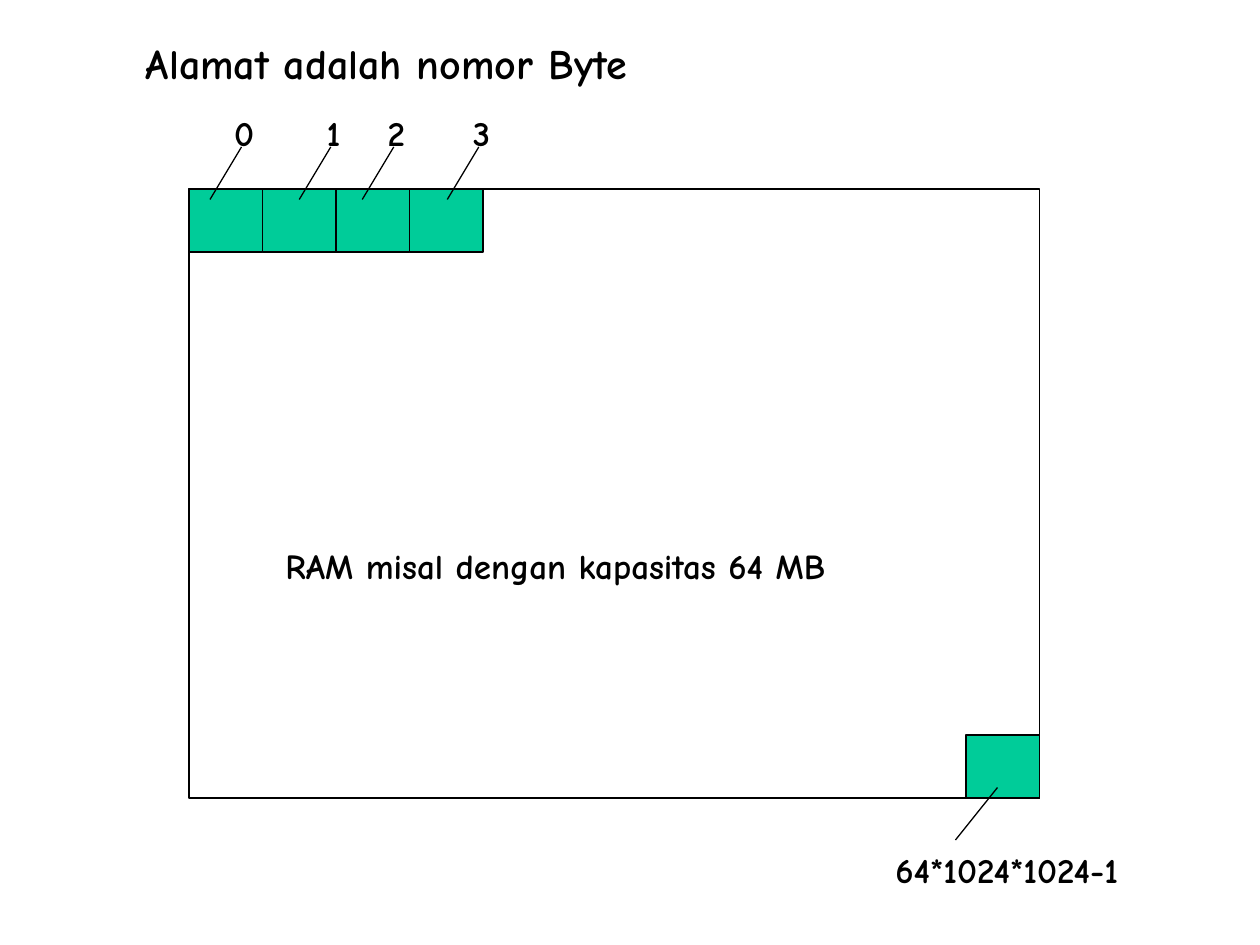
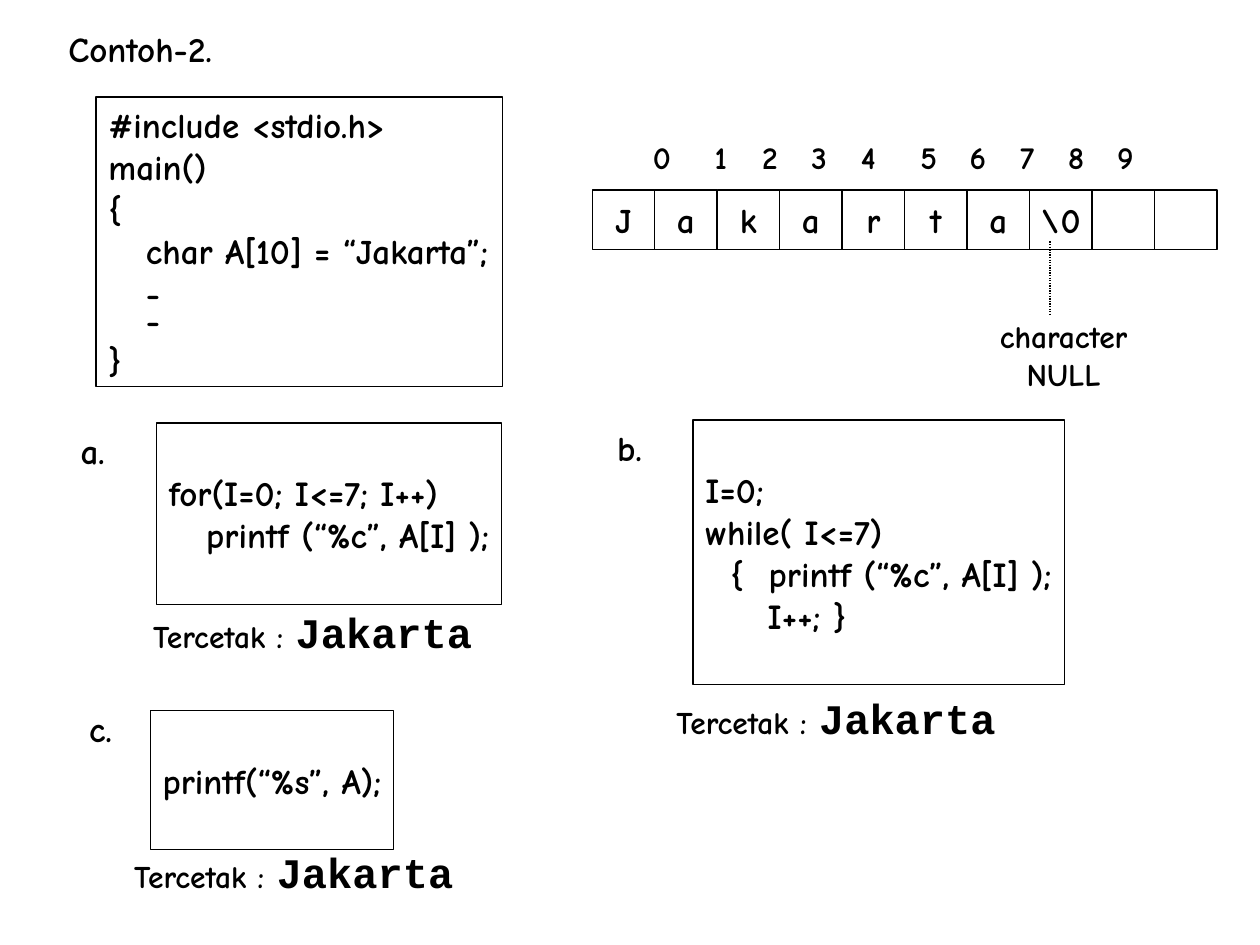
"""Build two slides on byte addresses and strings in memory."""
from lxml import etree
from pptx import Presentation
from pptx.dml.color import RGBColor
from pptx.enum.dml import MSO_LINE as Dash
from pptx.enum.shapes import MSO_CONNECTOR as Link, MSO_SHAPE as Shape
from pptx.enum.text import MSO_ANCHOR as Anchor, MSO_AUTO_SIZE as Fit, PP_ALIGN as Align
from pptx.oxml.ns import qn
from pptx.util import Inches, Pt

BLACK = RGBColor(0x00, 0x00, 0x00)
GREEN = RGBColor(0x00, 0xCC, 0x99)
FONT = "Comic Neue"
MONO = "Courier New"
COLS, ROWS = 120, 90


def write(shape, lines, size=20, align=Align.LEFT, anchor=Anchor.TOP,
          tabs=(), tight=None):
    """Fill a shape with lines; a line is a string or a list of (text, size, font)."""
    frame = shape.text_frame
    frame.word_wrap = bool(tabs)
    frame.auto_size = Fit.NONE
    frame.vertical_anchor = anchor
    for i, line in enumerate(lines):
        para = frame.add_paragraph() if i else frame.paragraphs[0]
        para.alignment = align
        if i == tight:
            para.line_spacing = 0.6
        if tabs:
            stops = etree.SubElement(para._p.get_or_add_pPr(), qn("a:tabLst"))
            for stop in tabs:
                etree.SubElement(stops, qn("a:tab"), pos=str(Inches(stop)), algn="ctr")
        for text, points, face in [(line, size, FONT)] if isinstance(line, str) else line:
            run = para.add_run()
            run.text = text
            run.font.size = Pt(points)
            run.font.name = face
            run.font.bold = True
            run.font.color.rgb = BLACK


class Deck:
    """Hold the style and the current slide, placed on a grid of columns and rows."""

    def __init__(self):
        self.file = Presentation()
        self.file.slide_width, self.file.slide_height = Inches(10), Inches(7.5)
        self.col = self.file.slide_width / COLS
        self.row = self.file.slide_height / ROWS

    def place(self, x, y, w, h):
        """Turn grid units into lengths."""
        return [round(n * unit) for n, unit in
                zip((x, y, w, h), (self.col, self.row) * 2)]

    def page(self, title, *spot, size):
        """Start a slide with its title."""
        self.slide = self.file.slides.add_slide(self.file.slide_layouts[5])
        head = self.slide.shapes.title
        head.left, head.top, head.width, head.height = self.place(*spot)
        write(head, [title], size=size)

    def text(self, lines, *spot, **style):
        """Add a text box."""
        write(self.slide.shapes.add_textbox(*self.place(*spot)), lines, **style)

    def box(self, *spot, fill=None, lines=(), **style):
        """Add an outlined rectangle, with text centred in height."""
        box = self.slide.shapes.add_shape(Shape.RECTANGLE, *self.place(*spot))
        box.shadow.inherit = False
        if fill:
            box.fill.solid()
            box.fill.fore_color.rgb = fill
        else:
            box.fill.background()
        box.line.color.rgb = BLACK
        box.line.width = Pt(0.75)
        write(box, lines, anchor=Anchor.MIDDLE, **style)

    def line(self, *ends, dash=None):
        """Add a thin straight line."""
        line = self.slide.shapes.add_connector(Link.STRAIGHT, *self.place(*ends))
        line.line.color.rgb = BLACK
        line.line.width = Pt(0.75)
        if dash:
            line.line.dash_style = dash
        etree.SubElement(line._element.spPr, qn("a:effectLst"))


def ram(deck):
    """Draw the memory block and its byte numbers."""
    deck.page("Alamat adalah nomor Byte", 12.7, 3, 52, 6, size=24)
    left, top, wide, high = 18, 18, 81, 58
    cell_w, cell_h = 7, 6
    deck.box(left, top, wide, high)
    deck.text(["RAM misal dengan kapasitas 64 MB"], 26, 51.25, 54, 5.3)
    for i in range(4):
        deck.box(left + i * cell_w, top, cell_w, cell_h, fill=GREEN)
    deck.box(left + wide - cell_w, top + high - cell_h, cell_w, cell_h, fill=GREEN)
    for i, x in enumerate((20, 28.5, 34.5, 42.6)):
        deck.line(x, 19, x + 3, 14)
        deck.text([str(i)], x + 1.25, 10, 4, 5.3, align=Align.CENTER)
    deck.line(95, 75, 91, 80)
    deck.text(["64*1024*1024-1"], 84.1, 80.25, 23.8, 5.3)


def sample(deck):
    """Draw the string in memory and three ways to print it."""
    deck.page("Contoh-2.", 5.3, 2, 20, 5.3, size=20)
    deck.box(9.15, 9.25, 38.7, 27.6, tight=5, lines=[
        "#include <stdio.h>", "main()", "{", "   char A[10] = “Jakarta”;",
        "   -", "   -", "}"])
    pitch = 5.95
    for i, char in enumerate([*"Jakarta", "\\0", "", ""]):
        deck.box(56.4 + i * pitch, 18.1, pitch, 5.65,
                 lines=[char] if char else [], align=Align.CENTER)
    stops = [0.15 + 0.39 * i + (0.09 if i > 4 else 0) for i in range(1, 10)]
    deck.text(["\t".join("0123456789")], 61, 12.55, 48.2, 4.8, size=18, tabs=stops)
    deck.line(100, 23, 100, 30, dash=Dash.ROUND_DOT)
    deck.text(["character", "NULL"], 94, 29.6, 14.6, 8.4, size=18, align=Align.CENTER)

    result = [("Tercetak :", 18, FONT), (" ", 20, FONT), ("Jakarta", 24, MONO)]
    parts = [
        ("a.", (6.5, 40.3), (14.9, 40.3, 32.9, 17.3), (13.4, 57.15),
         ["for(I=0; I<=7; I++)", "   printf (“%c”, A[I] );"]),
        ("b.", (57.6, 40.05), (66, 40, 35.4, 25.2), (63.25, 65.35),
         ["I=0;", "while( I<=7)", "  {  printf (“%c”, A[I] );", "     I++; }"]),
        ("c.", (7.3, 66.8), (14.3, 67.7, 23.2, 13.2), (11.6, 80),
         ["printf(“%s”, A);"]),
    ]
    for mark, tag, frame, out, code in parts:
        deck.text([mark], *tag, 4.7, 5.3)
        deck.box(*frame, lines=code)
        deck.text([result], *out, 33.1, 6)


def main():
    """Build and save the deck."""
    deck = Deck()
    ram(deck)
    sample(deck)
    deck.file.save("out.pptx")


if __name__ == "__main__":
    main()
